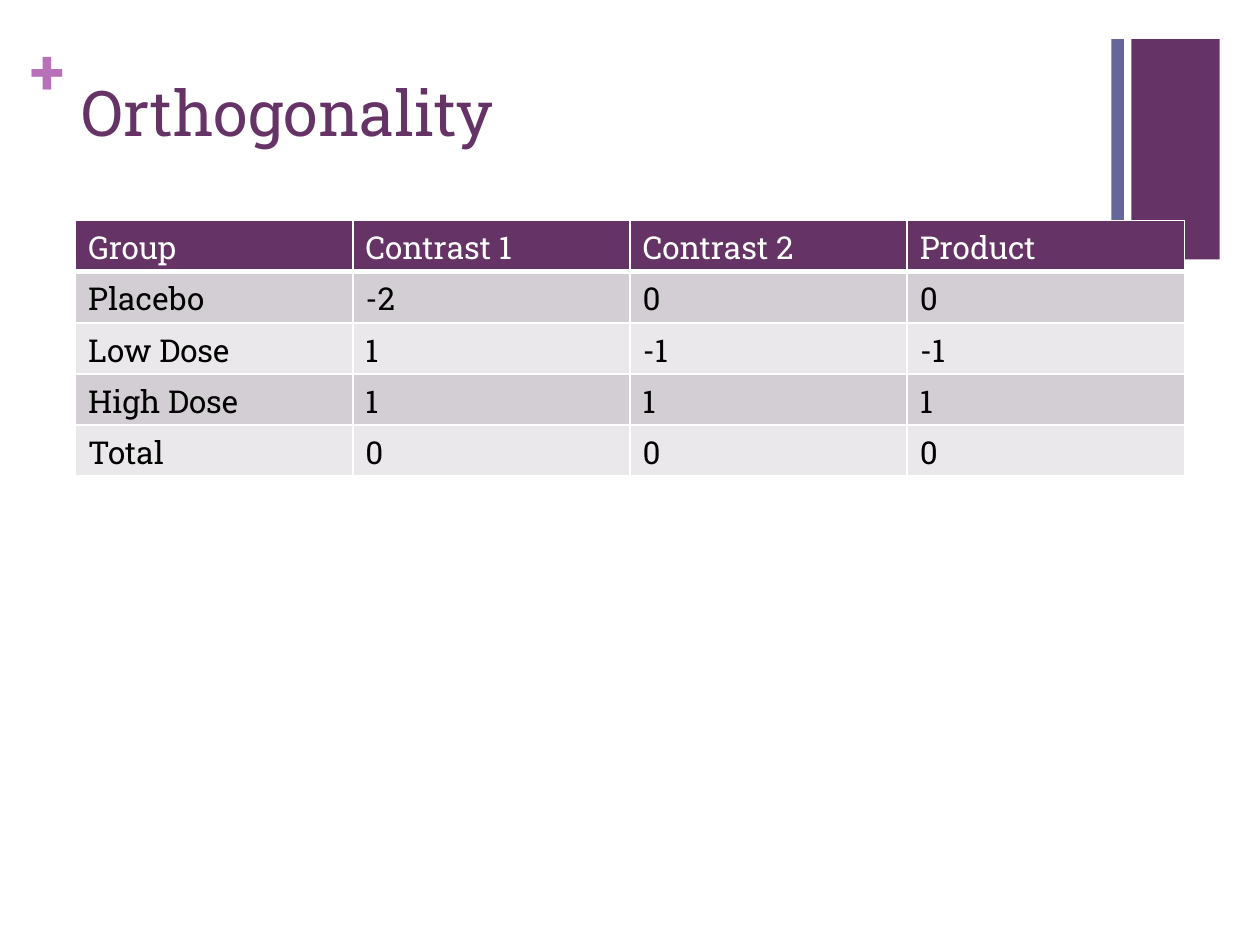
"""Build the Orthogonality slide with its table of contrasts."""
from lxml import etree
from pptx import Presentation
from pptx.dml.color import RGBColor as Rgb
from pptx.enum import shapes, text
from pptx.oxml import ns
from pptx.util import Inches, Pt

theme = {
    "font": "Roboto Slab", "plum": "663366", "slate": "666699", "pink": "B870B8",
    "white": "FFFFFF", "black": "000000", "bands": ("D3CED3", "EAE8EA"),
    "large": 36, "small": 18,
}
rows = [
    ("Group", "Contrast 1", "Contrast 2", "Product"),
    ("Placebo", "-2", "0", "0"),
    ("Low Dose", "1", "-1", "-1"),
    ("High Dose", "1", "1", "1"),
    ("Total", "0", "0", "0"),
]


def write(frame, words, size, color, bold=False):
    frame.text = words
    font = frame.paragraphs[0].runs[0].font
    form = {"name": theme["font"], "size": Pt(size), "bold": bold}
    for key, value in form.items():
        setattr(font, key, value)
    font.color.rgb = Rgb.from_string(color)


def edge(cell, side, width):
    props = cell._tc.get_or_add_tcPr()
    line = etree.SubElement(props, ns.qn(f"a:ln{side}"), w=str(Pt(width)))
    fill = etree.SubElement(line, ns.qn("a:solidFill"))
    etree.SubElement(fill, ns.qn("a:srgbClr"), val=theme["white"])


deck = Presentation()
deck.slide_width, deck.slide_height = Inches(10), Inches(7.5)
slide = deck.slides.add_slide(deck.slide_layouts[5])

for left, width, color in ((8.98, 0.7, "plum"), (8.82, 0.1, "slate")):
    bar = slide.shapes.add_shape(
        shapes.MSO_SHAPE.RECTANGLE, Inches(left), Inches(0.31), Inches(width), Inches(1.75))
    bar.shadow.inherit = False
    bar.fill.solid()
    bar.fill.fore_color.rgb = Rgb.from_string(theme[color])
    bar.line.fill.background()

plus = slide.shapes.add_textbox(Inches(0.24), Inches(0.25), Inches(0.29), Inches(0.61))
form = {
    "margin_left": 0, "margin_top": 0, "margin_right": 0, "margin_bottom": 0,
    "word_wrap": True, "auto_size": text.MSO_AUTO_SIZE.SHAPE_TO_FIT_TEXT,
}
for key, value in form.items():
    setattr(plus.text_frame, key, value)
write(plus.text_frame, "+", theme["large"], theme["pink"], True)

title = slide.shapes.title
place = {"left": 0.55, "top": 0.53, "width": 8.26, "height": 1.22}
for key, value in place.items():
    setattr(title, key, Inches(value))
write(title.text_frame, "Orthogonality", theme["large"], theme["plum"])
title.text_frame.auto_size = text.MSO_AUTO_SIZE.NONE
title.text_frame.vertical_anchor = text.MSO_ANCHOR.TOP
title.text_frame.paragraphs[0].alignment = text.PP_ALIGN.LEFT

table = slide.shapes.add_table(
    len(rows), len(rows[0]), Inches(0.6), Inches(1.75), Inches(8.8), Inches(2.03)).table
for r, row in enumerate(rows):
    head = r == 0
    back = theme["plum"] if head else theme["bands"][(r - 1) % 2]
    ink = theme["white"] if head else theme["black"]
    for c, words in enumerate(row):
        cell = table.cell(r, c)
        write(cell.text_frame, words, theme["small"], ink)
        for side in "LRTB":
            thick = (head and side == "B") or (r == 1 and side == "T")
            edge(cell, side, 3 if thick else 1)
        cell.fill.solid()
        cell.fill.fore_color.rgb = Rgb.from_string(back)

deck.save("out.pptx")
